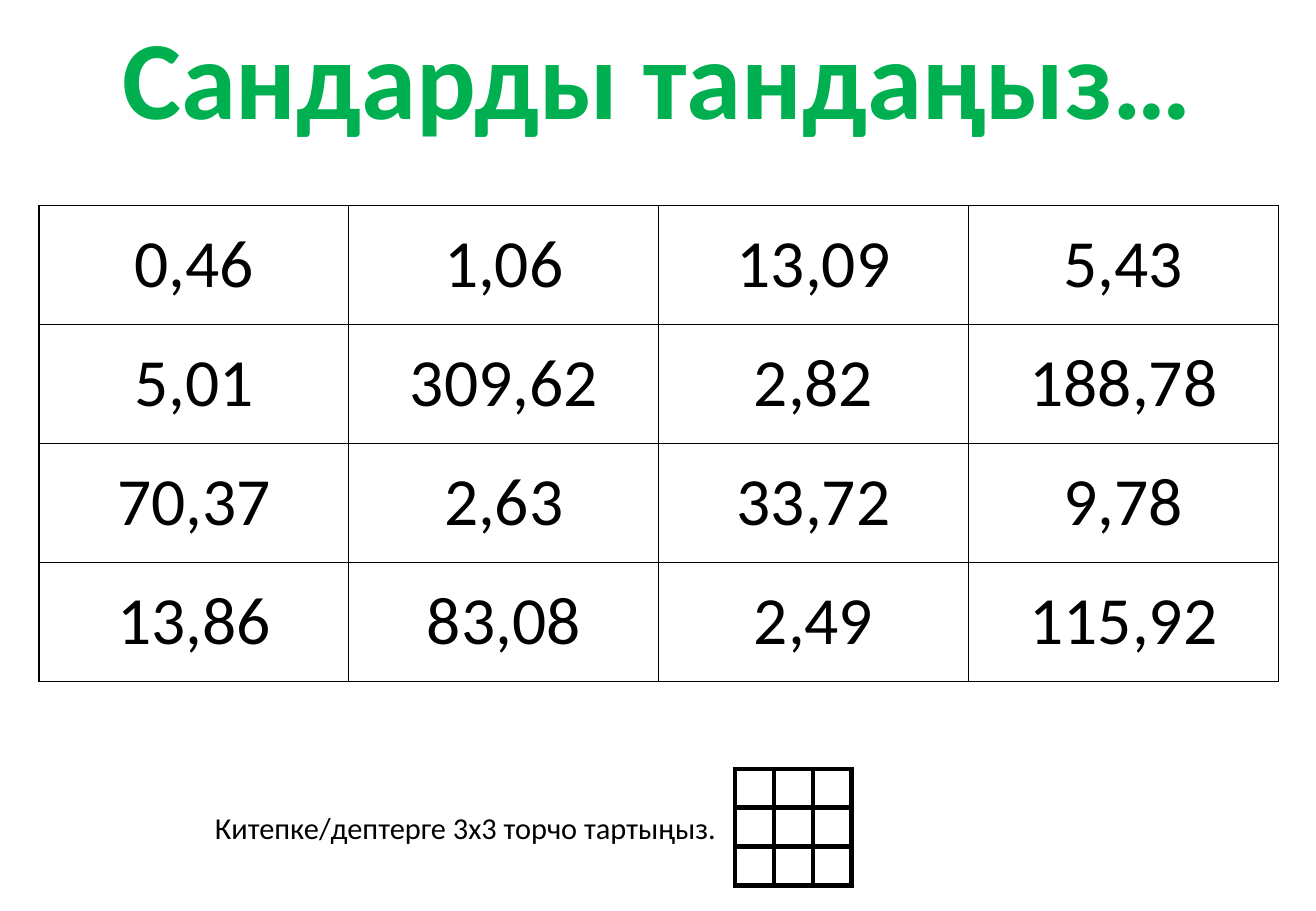
from lxml import etree
from pptx import Presentation
from pptx.dml.color import RGBColor
from pptx.enum.text import MSO_ANCHOR, PP_ALIGN
from pptx.oxml.ns import qn
from pptx.util import Pt

LEFT = PP_ALIGN.LEFT
CENTER = PP_ALIGN.CENTER
MIDDLE = MSO_ANCHOR.MIDDLE
SCALE = 9144
FONT = "Calibri"
COLORS = {"ink": "000000", "paper": "FFFFFF", "title": "00B050"}
NUMBERS = [
    ["0,46", "1,06", "13,09", "5,43"],
    ["5,01", "309,62", "2,82", "188,78"],
    ["70,37", "2,63", "33,72", "9,78"],
    ["13,86", "83,08", "2,49", "115,92"],
]
BLANKS = [[""] * 3] * 3


def px(count):
    return count * SCALE


def color(name):
    return RGBColor.from_string(COLORS[name])


def write(frame, text, size=18, bold=False, ink="ink", align=LEFT):
    para = frame.paragraphs[0]
    para.alignment = align
    run = para.add_run()
    run.text = text
    run.font.name = FONT
    run.font.size = Pt(size)
    run.font.bold = bold
    run.font.color.rgb = color(ink)


def add_label(slide, box, text, **style):
    frame = slide.shapes.add_textbox(*map(px, box)).text_frame
    frame.word_wrap = False
    write(frame, text, **style)


def add_border(cell, width):
    props = cell._tc.get_or_add_tcPr()
    for side in ("lnL", "lnR", "lnT", "lnB"):
        line = etree.SubElement(props, qn("a:" + side), w=str(Pt(width)))
        fill = etree.SubElement(line, qn("a:solidFill"))
        etree.SubElement(fill, qn("a:srgbClr"), val=COLORS["ink"])


def add_grid(slide, left, top, wide, high, rows, border, size=18):
    count, span = len(rows), len(rows[0])
    box = (left, top, wide * span, high * count)
    table = slide.shapes.add_table(count, span, *map(px, box)).table
    table.first_row = False
    table.horz_banding = False
    for column in table.columns:
        column.width = px(wide)
    for row, texts in zip(table.rows, rows):
        row.height = px(high)
        for cell, text in zip(row.cells, texts):
            cell.margin_left = cell.margin_right = 0
            cell.margin_top = cell.margin_bottom = 0
            cell.vertical_anchor = MIDDLE
            add_border(cell, border)
            cell.fill.solid()
            cell.fill.fore_color.rgb = color("paper")
            if text:
                write(cell.text_frame, text, size=size, align=CENTER)


def main():
    deck = Presentation()
    deck.slide_width, deck.slide_height = px(1083), px(750)
    slide = deck.slides.add_slide(deck.slide_layouts[6])
    add_grid(slide, 32, 169, 255, 98, NUMBERS, border=1, size=40)
    add_label(slide, (79, 2, 924, 121), "Сандарды тандаңыз…",
              size=66, bold=True, ink="title", align=CENTER)
    add_grid(slide, 605, 633, 32, 32, BLANKS, border=3)
    add_label(slide, (167, 661, 438, 40),
              "Китепке/дептерге 3х3 торчо тартыңыз.")
    deck.save("out.pptx")


if __name__ == "__main__":
    main()
